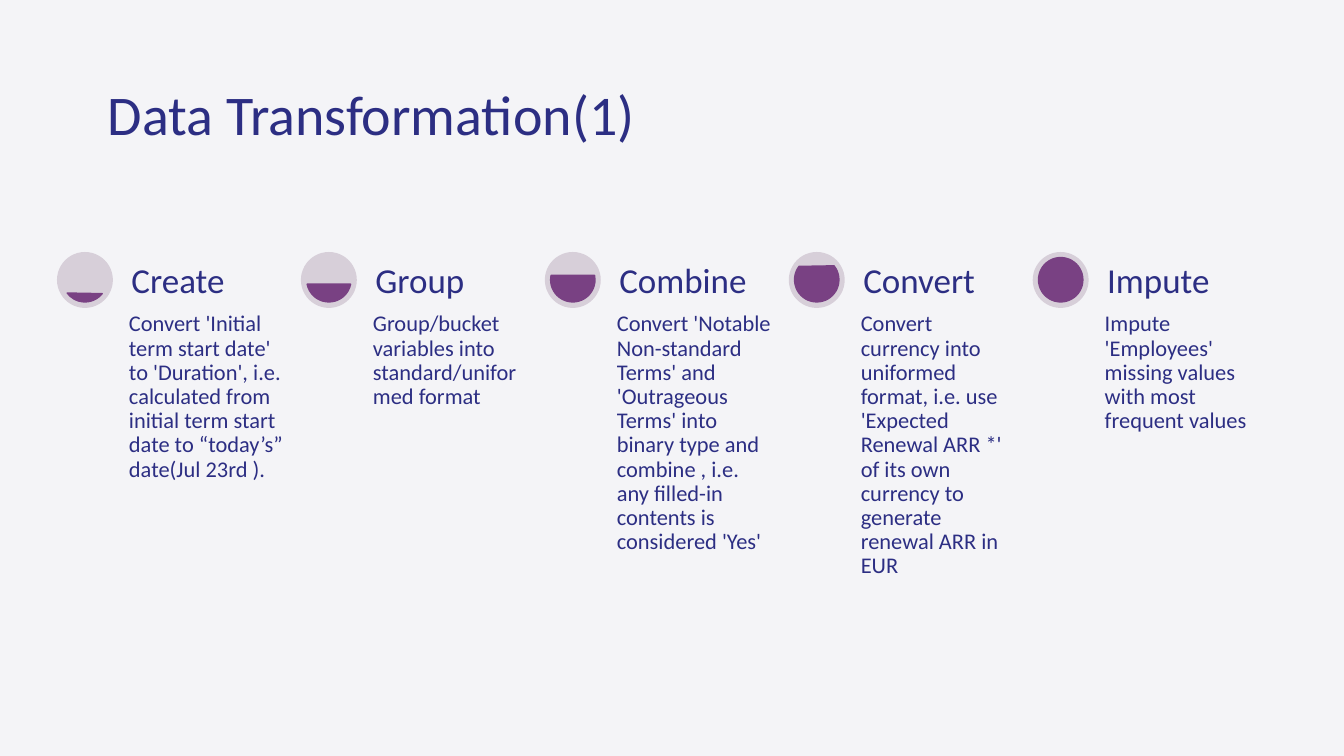
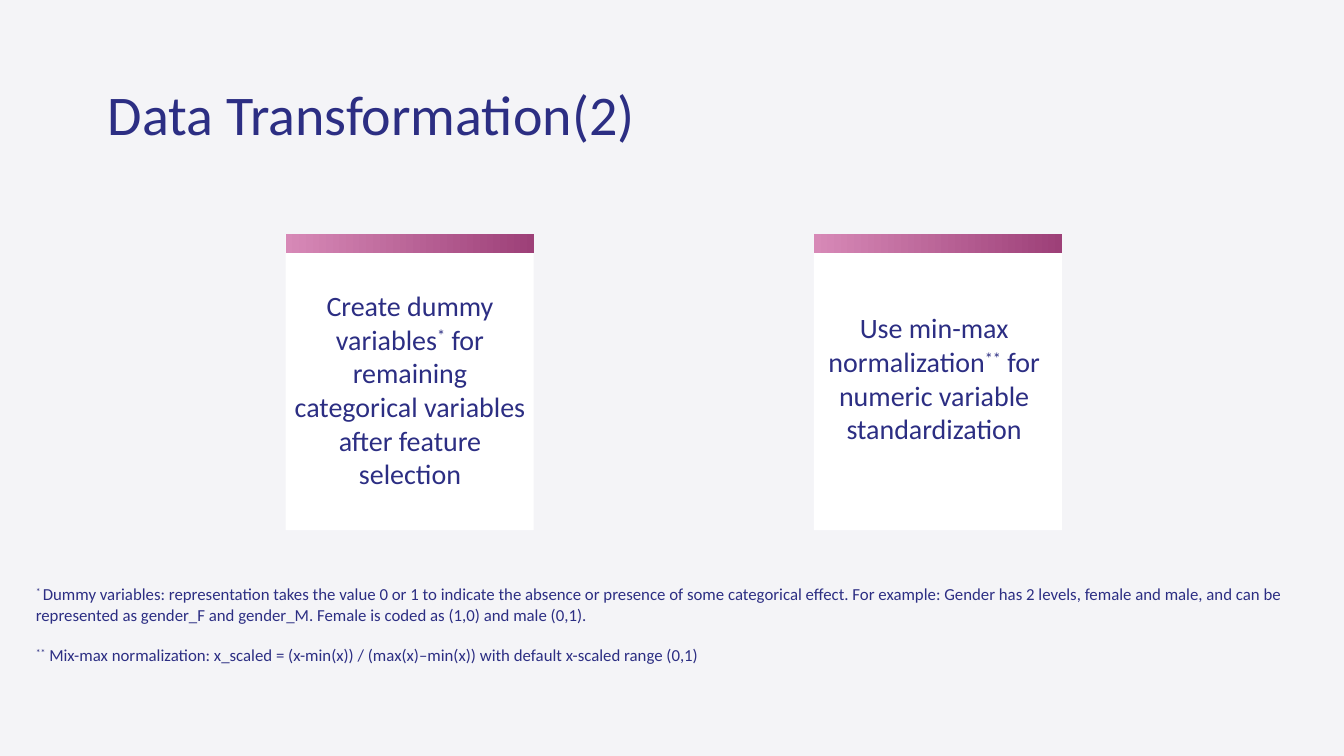
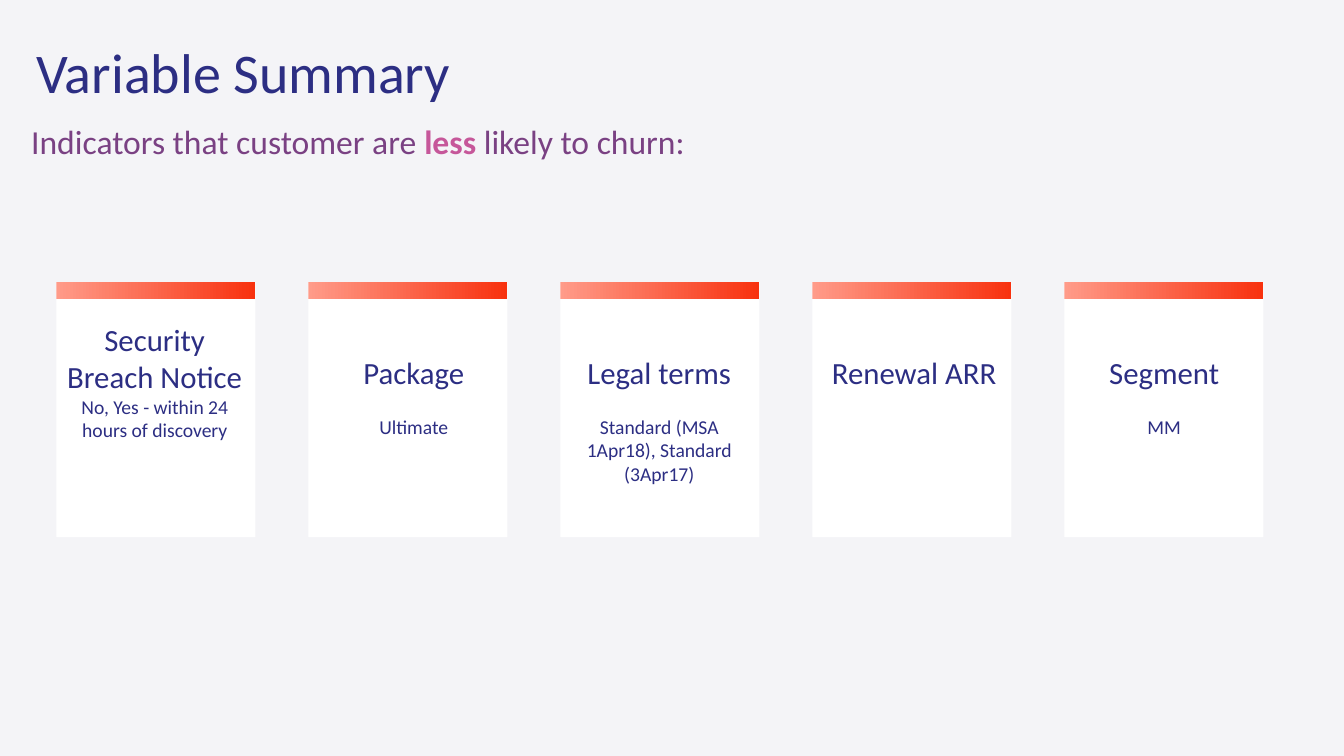
from dataclasses import dataclass
from typing import NamedTuple

from pptx import Presentation
from pptx.dml.color import RGBColor
from pptx.enum.shapes import MSO_SHAPE
from pptx.enum.text import MSO_ANCHOR, MSO_AUTO_SIZE, PP_ALIGN
from pptx.util import Emu, Inches, Pt

RECT, DISC, CHORD = MSO_SHAPE.RECTANGLE, MSO_SHAPE.OVAL, MSO_SHAPE.CHORD
LEFT, CENTER = PP_ALIGN.LEFT, PP_ALIGN.CENTER
TOP, MIDDLE, BOTTOM = MSO_ANCHOR.TOP, MSO_ANCHOR.MIDDLE, MSO_ANCHOR.BOTTOM
FIXED = MSO_AUTO_SIZE.NONE

WIDE, HIGH = Inches(80 / 3), Inches(15)
COL, ROW = WIDE / 100, HIGH / 100
FONT = "Calibri"
PAPER, WHITE, NAVY = "F4F4F7", "FFFFFF", "2C2E83"
PURPLE, VIOLET, PINK, MIST = "794183", "7A4183", "C6579A", "D7CFD9"
ROSE, FLAME = ("D789B7", "9D4078"), ("FF9B89", "F8310E")
WIDE_PAD, SLIM_PAD = (14.4, 7.2), (7.2, 3.6)
TITLE_W, TITLE_H = 96.19, 11.53


class Box(NamedTuple):
    """A place in hundredths of the slide's width and height."""
    x: float
    y: float
    w: float
    h: float

    def emu(self) -> tuple:
        """Give left, top, width and height in EMU."""
        return (Emu(round(self.x * COL)), Emu(round(self.y * ROW)),
                Emu(round(self.w * COL)), Emu(round(self.h * ROW)))


class Span(NamedTuple):
    """A stretch of text with one format."""
    text: str
    raised: bool = False
    color: str = ""
    bold: bool = False


class Line(NamedTuple):
    """A paragraph with its size and the gap above it in points."""
    spans: list
    size: float
    gap: float = 0


@dataclass
class Step:
    """A step with the start and end angle of its gauge."""
    name: str
    body: str
    start: float
    end: float


@dataclass
class Card:
    """A summary card with the place of its text."""
    name: str
    body: str
    x: float
    y: float = 46.47
    gap: float = 34


STEPS = [
    Step("Create", "Convert 'Initial term start date' to 'Duration', i.e. calculated "
         "from initial term start date to “today’s” date(Jul 23rd ).", 38.87, 143.13),
    Step("Group", "Group/bucket variables into standard/uniformed format", 11.54, 168.46),
    Step("Combine", "Convert 'Notable Non-standard Terms' and 'Outrageous Terms' into "
         "binary type and combine , i.e. any filled-in contents is considered 'Yes'",
         348.46, 191.54),
    Step("Convert", "Convert currency into uniformed format, i.e. use 'Expected Renewal "
         "ARR *' of its own currency to generate renewal ARR in EUR", 321.13, 216.87),
    Step("Impute", "Impute 'Employees' missing values with most frequent values", 270, 270),
]

CARDS = [
    Card("Security Breach Notice", "No, Yes - within 24 hours of discovery", 4.09, 42.07, 0),
    Card("Package", "Ultimate", 23.36),
    Card("Legal terms", "Standard (MSA 1Apr18), Standard (3Apr17)", 41.63),
    Card("Renewal ARR", "", 60.6),
    Card("Segment", "MM", 79.2),
]


def rgb(code: str) -> RGBColor:
    """Turn a hex string into a colour."""
    return RGBColor.from_string(code)


def write(frame, lines: list, color: str = NAVY, align=LEFT, anchor=TOP,
          lead: float = 1, pad: tuple = SLIM_PAD) -> None:
    """Fill a text frame with formatted lines."""
    frame.word_wrap, frame.auto_size = True, FIXED
    frame.vertical_anchor = anchor
    frame.margin_left = frame.margin_right = Pt(pad[0])
    frame.margin_top = frame.margin_bottom = Pt(pad[1])
    for i, line in enumerate(lines):
        para = frame.add_paragraph() if i else frame.paragraphs[0]
        para.alignment, para.line_spacing = align, lead
        para.space_before = Pt(line.gap)
        for span in line.spans:
            run = para.add_run()
            run.text = span.text
            font = run.font
            font.name, font.size, font.bold = FONT, Pt(line.size), span.bold
            font.color.rgb = rgb(span.color or color)
            if span.raised:
                run._r.get_or_add_rPr().set("baseline", "30000")


def label(shapes, box: Box, lines: list, **form) -> None:
    """Add a text box."""
    write(shapes.add_textbox(*box.emu()).text_frame, lines, **form)


def draw(shapes, kind, box: Box, fill: str = ""):
    """Add a flat shape without a line."""
    shape = shapes.add_shape(kind, *box.emu())
    shape.shadow.inherit = False
    shape.line.fill.background()
    if fill:
        shape.fill.solid()
        shape.fill.fore_color.rgb = rgb(fill)
    return shape


def start(deck, name: str, x: float = 7.28, y: float = 9.73):
    """Add a slide with its title."""
    slide = deck.slides.add_slide(deck.slide_layouts[5])
    title = slide.shapes.title
    title.left, title.top, title.width, title.height = Box(x, y, TITLE_W, TITLE_H).emu()
    write(title.text_frame, [Line([Span(name)], 80)], anchor=MIDDLE, lead=0.9, pad=WIDE_PAD)
    return slide


def panel(slide, box: Box, thick: float, blend: tuple) -> None:
    """Draw a white panel under a blended bar turned on its side."""
    group = slide.shapes.add_group_shape().shapes
    draw(group, RECT, box, WHITE)
    w, h = thick * ROW / COL, box.w * COL / ROW
    mid = box.x + box.w / 2
    bar = draw(group, RECT, Box(mid - w / 2, box.y + thick / 2 - h / 2, w, h))
    bar.rotation = 270
    bar.fill.gradient()
    bar.fill.gradient_angle = 270
    for stop, code in zip(bar.fill.gradient_stops, blend):
        stop.color.rgb = rgb(code)


def gauge(shapes, x: float, step: Step) -> None:
    """Draw a disc filled up to the level of a step."""
    draw(shapes, DISC, Box(x, 33.33, 4.16, 7.4), MIST)
    level = draw(shapes, CHORD, Box(x + 0.43, 34.07, 3.3, 5.87), PURPLE)
    level.line.color.rgb = rgb(PURPLE)
    level.line.width = Pt(2)
    for i, angle in enumerate((step.start, step.end)):
        level.adjustments[i] = angle * 0.6


def steps(deck) -> None:
    """Build the slide of five steps."""
    slide = start(deck, "Data Transformation(1)")
    group = slide.shapes.add_group_shape().shapes
    for i, step in enumerate(STEPS):
        x = 4.24 + 18.15 * i
        gauge(group, x, step)
        label(group, Box(x + 5.02, 40.73, 12.26, 31), [Line([Span(step.body)], 32)],
              lead=0.9, pad=(6.5, 6.5))
        label(group, Box(x + 5.02, 33.33, 12.26, 7.4), [Line([Span(step.name)], 50)],
              lead=0.9, pad=(10, 10), anchor=BOTTOM)


def scaling(deck) -> None:
    """Build the slide of two methods and their notes."""
    slide = start(deck, "Data Transformation(2)")
    for x in (21.26, 60.56):
        panel(slide, Box(x, 31, 18.45, 39.13), 2.53, ROSE)
    texts = [
        (21.3, 37.87, "Create dummy variables", "*",
         " for remaining categorical variables after feature selection"),
        (60.3, 40.8, "Use min-max normalization", "**",
         " for numeric variable standardization"),
    ]
    for x, y, head, mark, tail in texts:
        label(slide.shapes, Box(x, y, 18.41, 8.87),
              [Line([Span(head), Span(mark, True), Span(tail)], 40)], align=CENTER)
    dummy = ("Dummy variables: representation takes the value 0 or 1 to indicate the absence "
             "or presence of some categorical effect. For example: Gender has 2 levels, female "
             "and male, and can be represented as gender_F and gender_M. Female is coded as "
             "(1,0) and male (0,1).")
    scale = (" Mix-max normalization: x_scaled = (x-min(x)) / (max(x)–min(x)) "
             "with default x-scaled range (0,1)")
    label(slide.shapes, Box(1.91, 76.6, TITLE_W, 14.07),
          [Line([Span("* ", True), Span(dummy)], 24),
           Line([Span("**", True), Span(scale)], 24, 29)], pad=WIDE_PAD)


def summary(deck) -> None:
    """Build the slide of five indicators."""
    slide = start(deck, "Variable Summary", 1.95, 4.2)
    label(slide.shapes, Box(1.95, 15.73, TITLE_W, 5.33),
          [Line([Span("Indicators that customer are "), Span("less", color=PINK, bold=True),
                 Span(" likely to churn:")], 48)], color=VIOLET)
    for i, card in enumerate(CARDS):
        panel(slide, Box(4.2 + 18.75 * i, 37.33, 14.81, 33.73), 2.2, FLAME)
        lines = [Line([Span(card.name)], 44)]
        if card.body:
            lines.append(Line([Span(card.body)], 28, card.gap))
        label(slide.shapes, Box(card.x, card.y, 14.85, 8.87), lines, align=CENTER)


def main() -> None:
    """Build and save the deck."""
    deck = Presentation()
    deck.slide_width, deck.slide_height = WIDE, HIGH
    back = deck.slide_master.background.fill
    back.solid()
    back.fore_color.rgb = rgb(PAPER)
    for build in (steps, scaling, summary):
        build(deck)
    deck.save("out.pptx")


if __name__ == "__main__":
    main()
